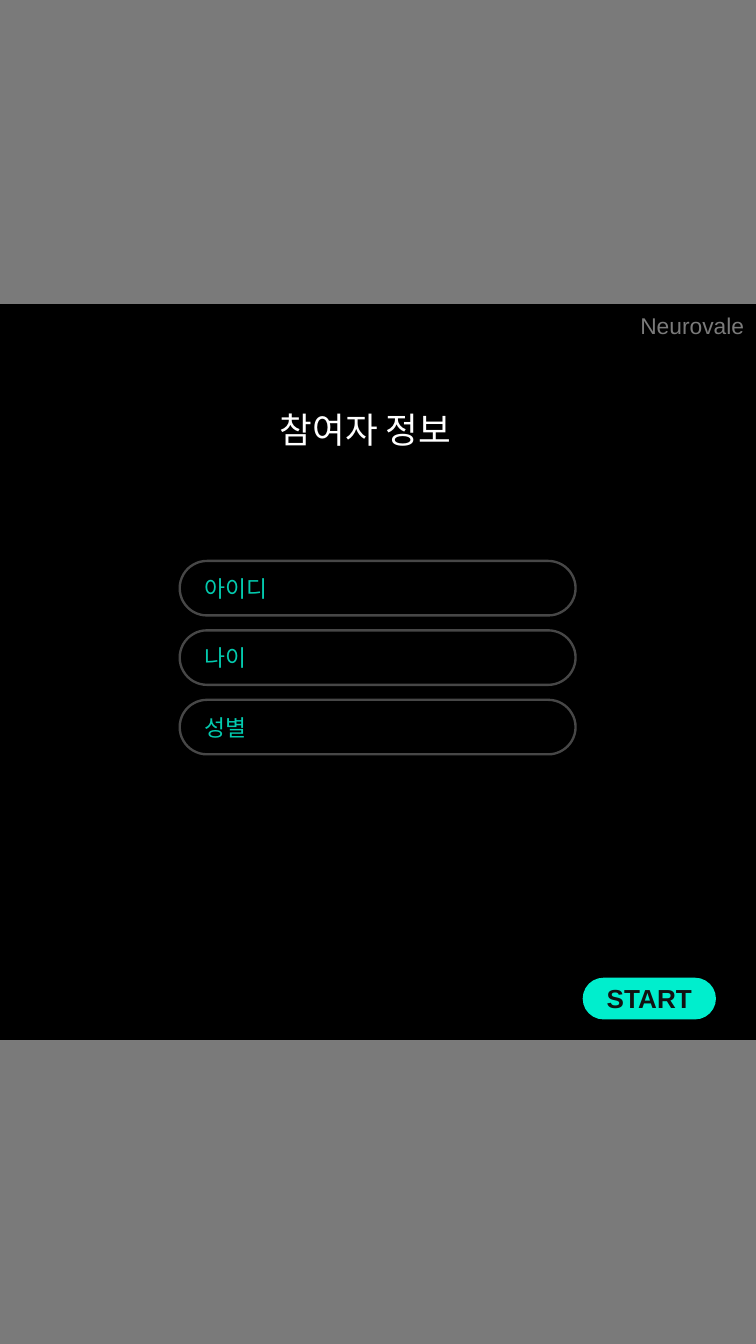
from dataclasses import dataclass

from pptx import Presentation
from pptx.dml.color import RGBColor
from pptx.enum.shapes import MSO_SHAPE
from pptx.enum.text import MSO_ANCHOR, MSO_AUTO_SIZE, PP_ALIGN
from pptx.util import Pt

TITLE = "참여자 정보"
BRAND = "Neurovale"
FIELDS = ["아이디", "나이", "성별"]
BUTTON = "START"

WIDTH, HEIGHT = 318.9, 566.93
BAR = 128.2
FIELD_LEFT, FIELD_TOP = 75.8, 236.6
FIELD_WIDTH, FIELD_HEIGHT, FIELD_STEP = 167, 23, 29.3


@dataclass(frozen=True)
class Theme:
    font: str = "Arial"
    back: str = "000000"
    bar: str = "7A7A7A"
    edge: str = "474747"
    label: str = "03CAAE"
    title: str = "FFFFFF"
    button: str = "00EECD"
    dark: str = "111111"
    small: float = 9.6
    medium: float = 11
    large: float = 15


theme = Theme()


def color(code):
    return RGBColor.from_string(code)


def write(shape, text, *, size, ink, bold=False, align=PP_ALIGN.LEFT,
          anchor=MSO_ANCHOR.MIDDLE, inset=7.2):
    frame = shape.text_frame
    frame.auto_size = MSO_AUTO_SIZE.NONE
    frame.word_wrap = True
    frame.vertical_anchor = anchor
    frame.margin_left = frame.margin_right = Pt(inset)
    frame.margin_top = frame.margin_bottom = Pt(3.6)
    line = frame.paragraphs[0]
    line.alignment = align
    run = line.add_run()
    run.text = text
    run.font.name = theme.font
    run.font.size = Pt(size)
    run.font.bold = bold
    run.font.color.rgb = color(ink)


def draw(slide, kind, box, *, fill=None, edge=None):
    shape = slide.shapes.add_shape(kind, *map(Pt, box))
    shape.shadow.inherit = False
    if fill:
        shape.fill.solid()
        shape.fill.fore_color.rgb = color(fill)
    else:
        shape.fill.background()
    if edge:
        shape.line.color.rgb = color(edge)
        shape.line.width = Pt(1)
    else:
        shape.line.fill.background()
    return shape


def pill(slide, box, **style):
    shape = draw(slide, MSO_SHAPE.ROUNDED_RECTANGLE, box, **style)
    shape.adjustments[0] = 0.5
    return shape


def main():
    deck = Presentation()
    deck.slide_width, deck.slide_height = Pt(WIDTH), Pt(HEIGHT)
    slide = deck.slides.add_slide(deck.slide_layouts[5])
    slide.background.fill.solid()
    slide.background.fill.fore_color.rgb = color(theme.back)

    title = slide.shapes.title
    title.left, title.top, title.width, title.height = map(
        Pt, (110.9, 168.5, 95.8, 25.2))
    write(title, TITLE, size=theme.large, ink=theme.title,
          anchor=MSO_ANCHOR.TOP)

    left = 263.5
    brand = slide.shapes.add_textbox(
        Pt(left), Pt(127.9), Pt(WIDTH - left), Pt(18.7))
    write(brand, BRAND, size=theme.small, ink=theme.bar,
          align=PP_ALIGN.RIGHT, anchor=MSO_ANCHOR.TOP, inset=5)

    for i, label in enumerate(FIELDS):
        top = FIELD_TOP + i * FIELD_STEP
        field = pill(slide, (FIELD_LEFT, top, FIELD_WIDTH, FIELD_HEIGHT),
                     edge=theme.edge)
        write(field, label, size=theme.small, ink=theme.label)

    start = pill(slide, (245.8, 412.4, 56.2, 17.6), fill=theme.button)
    write(start, BUTTON, size=theme.medium, ink=theme.dark, bold=True,
          align=PP_ALIGN.CENTER, inset=3)

    for top in (0, HEIGHT - BAR):
        draw(slide, MSO_SHAPE.RECTANGLE, (0, top, WIDTH, BAR), fill=theme.bar)

    deck.save("out.pptx")


if __name__ == "__main__":
    main()
